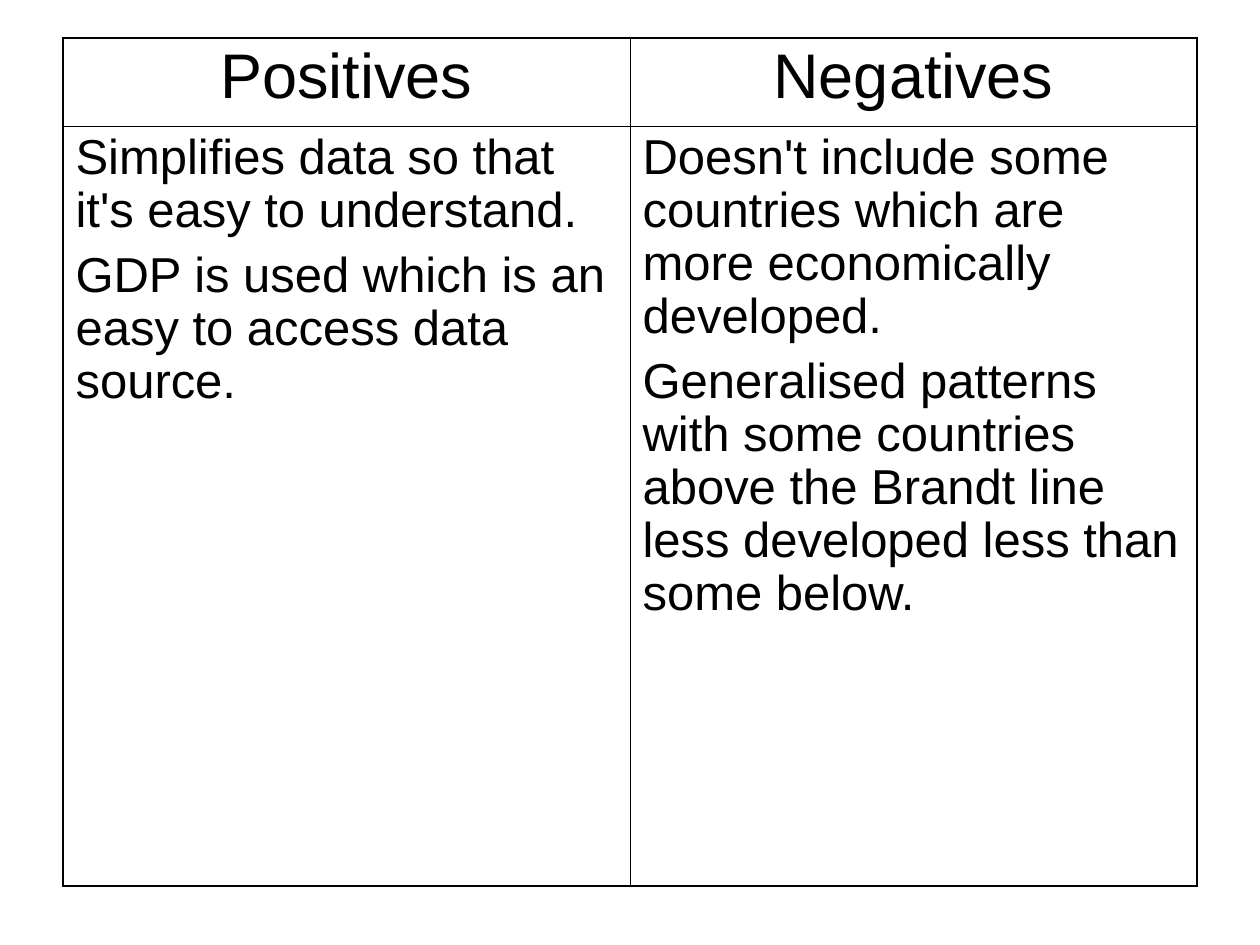
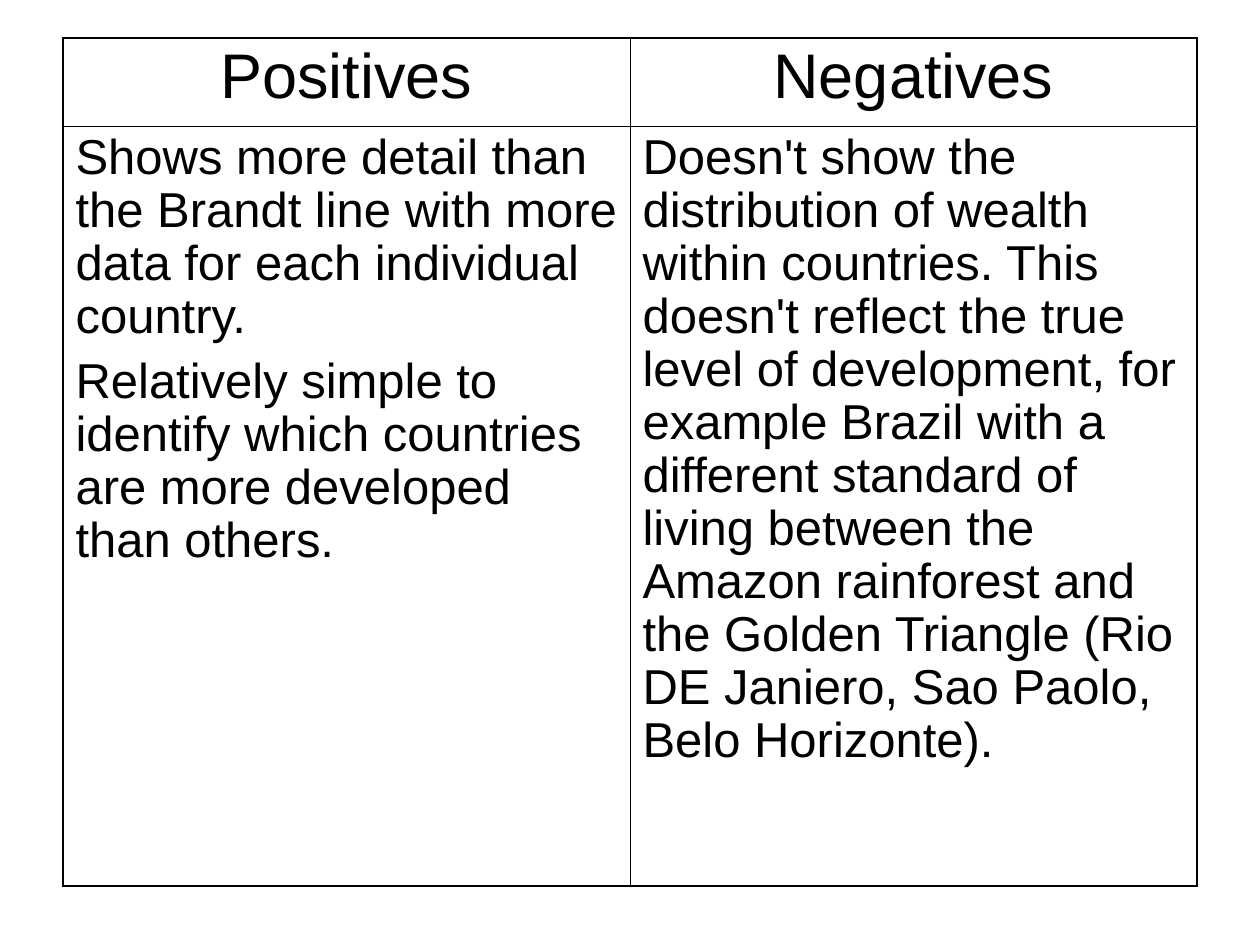
"""Builds two slides that weigh the positives and negatives of development measures."""
from lxml.etree import SubElement
from pptx import Presentation
from pptx.dml.color import RGBColor
from pptx.enum.text import PP_ALIGN
from pptx.oxml.ns import qn
from pptx.util import Pt

HEADINGS = ["Positives", "Negatives"]
EVALUATIONS = [
    (
        [
            "Simplifies data so that it's easy to understand.",
            "GDP is used which is an easy to access data source.",
        ],
        [
            "Doesn't include some countries which are more economically developed.",
            "Generalised patterns with some countries above the Brandt line "
            "less developed less than some below.",
        ],
    ),
    (
        [
            "Shows more detail than the Brandt line with more data for each "
            "individual country.",
            "Relatively simple to identify which countries are more developed "
            "than others.",
        ],
        [
            "Doesn't show the distribution of wealth within countries. This doesn't "
            "reflect the true level of development, for example Brazil with a "
            "different standard of living between the Amazon rainforest and the "
            "Golden Triangle (Rio DE Janiero, Sao Paolo, Belo Horizonte).",
        ],
    ),
]

INK = "000000"
FONT = "Arial"
LEFT, TOP = 36, 21.6
COLUMN_WIDTH = 324
ROW_HEIGHTS = [50.4, 434.16]
OUTER_LINE, INNER_LINE = 1.08, 0.45
LINE_SPACING = 0.97
HEADING_STYLE = {"size": 36, "before": 9, "align": PP_ALIGN.CENTER}
POINT_STYLE = {"size": 28, "before": 7, "align": PP_ALIGN.LEFT}


def colour(value):
    return RGBColor.from_string(value)


def write_points(cell, points, style):
    frame = cell.text_frame
    for index, point in enumerate(points):
        paragraph = frame.paragraphs[0] if index == 0 else frame.add_paragraph()
        paragraph.alignment = style["align"]
        paragraph.space_before = Pt(style["before"])
        paragraph.line_spacing = LINE_SPACING
        run = paragraph.add_run()
        run.text = point
        run.font.name = FONT
        run.font.size = Pt(style["size"])
        run.font.color.rgb = colour(INK)


def draw_borders(cell, row, column, last_row, last_column):
    outer_sides = {
        "L": column == 0,
        "R": column == last_column,
        "T": row == 0,
        "B": row == last_row,
    }
    properties = cell._tc.get_or_add_tcPr()
    for side, is_outer in outer_sides.items():
        width = Pt(OUTER_LINE if is_outer else INNER_LINE)
        line = SubElement(properties, qn(f"a:ln{side}"), w=str(width))
        fill = SubElement(line, qn("a:solidFill"))
        SubElement(fill, qn("a:srgbClr"), val=INK)


def add_evaluation(slide, evaluation):
    rows = [
        ([[heading] for heading in HEADINGS], HEADING_STYLE),
        (evaluation, POINT_STYLE),
    ]
    columns = len(HEADINGS)
    table = slide.shapes.add_table(
        len(rows), columns, Pt(LEFT), Pt(TOP),
        Pt(COLUMN_WIDTH * columns), Pt(sum(ROW_HEIGHTS)),
    ).table
    table.first_row = table.horz_banding = False
    for column in table.columns:
        column.width = Pt(COLUMN_WIDTH)
    for row, (entries, style) in enumerate(rows):
        table.rows[row].height = Pt(ROW_HEIGHTS[row])
        for column, points in enumerate(entries):
            cell = table.cell(row, column)
            cell.margin_left = cell.margin_right = Pt(7.2)
            cell.margin_top = cell.margin_bottom = Pt(3.6)
            draw_borders(cell, row, column, len(rows) - 1, columns - 1)
            cell.fill.background()
            write_points(cell, points, style)


def main():
    deck = Presentation()
    deck.slide_width, deck.slide_height = Pt(720), Pt(540)
    for evaluation in EVALUATIONS:
        add_evaluation(deck.slides.add_slide(deck.slide_layouts[6]), evaluation)
    deck.save("out.pptx")


if __name__ == "__main__":
    main()
